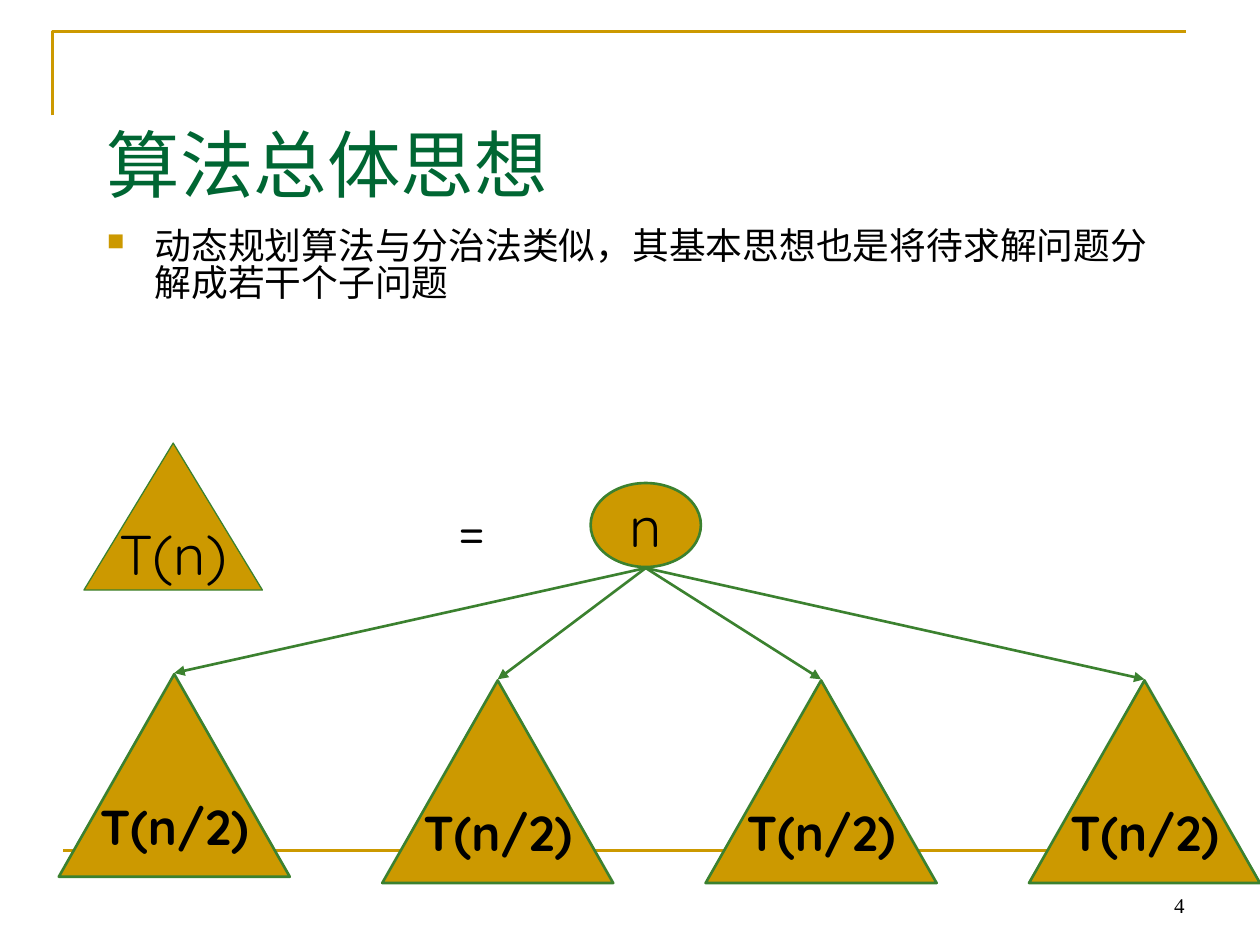
from typing import Any, NamedTuple

from lxml.etree import SubElement
from pptx import Presentation
from pptx.dml.color import RGBColor
from pptx.enum.shapes import MSO_CONNECTOR as Connector, MSO_SHAPE as Preset
from pptx.enum.text import MSO_ANCHOR as Anchor, PP_ALIGN as Align
from pptx.oxml.ns import qn
from pptx.util import Emu, Inches, Pt

COLUMNS, ROWS = 120, 90
GOLD, GREEN, TITLE_GREEN, BLACK = "CC9900", "3B812F", "006633", "000000"
CJK, ROUND, SERIF = "Noto Sans CJK SC", "Quicksand", "Times New Roman"


class Box(NamedTuple):
    left: float
    top: float
    width: float
    height: float


class Label(NamedTuple):
    words: str
    size: float
    font: str = ROUND
    color: str = BLACK
    bold: bool = False
    align: Any = Align.CENTER
    anchor: Any = Anchor.MIDDLE
    wrap: bool = False


class Node(NamedTuple):
    preset: Any
    box: Box
    label: Label
    weight: float = 1.5


deck = Presentation()
deck.slide_width, deck.slide_height = Inches(10), Inches(7.5)
slide = deck.slides.add_slide(deck.slide_layouts[6])
shapes = slide.shapes


def rgb(code: str) -> RGBColor:
    return RGBColor.from_string(code)


def across(column: float) -> Emu:
    return Emu(round(deck.slide_width * column / COLUMNS))


def down(row: float) -> Emu:
    return Emu(round(deck.slide_height * row / ROWS))


def place(box: Box) -> tuple:
    return across(box.left), down(box.top), across(box.width), down(box.height)


def assign(target: Any, values: dict[str, Any]) -> None:
    for name, value in values.items():
        setattr(target, name, value)


def outline(line: Any, color: str, weight: float) -> None:
    line.color.rgb = rgb(color)
    line.width = Pt(weight)


def write(shape: Any, label: Label) -> Any:
    frame = shape.text_frame
    assign(frame, {"word_wrap": label.wrap, "vertical_anchor": label.anchor})
    paragraph = frame.paragraphs[0]
    paragraph.alignment = label.align
    run = paragraph.add_run()
    run.text = label.words
    assign(run.font, {"size": Pt(label.size), "name": label.font, "bold": label.bold})
    run.font.color.rgb = rgb(label.color)
    SubElement(run.font._element, qn("a:ea"), typeface=CJK)
    return paragraph


def add_text(box: Box, label: Label) -> Any:
    return write(shapes.add_textbox(*place(box)), label)


def add_node(node: Node) -> None:
    shape = shapes.add_shape(node.preset, *place(node.box))
    shape.shadow.inherit = False
    shape.fill.solid()
    shape.fill.fore_color.rgb = rgb(GOLD)
    outline(shape.line, GREEN, node.weight)
    write(shape, node.label)


def add_line(start: tuple, end: tuple, color: str, arrow: bool = False) -> None:
    line = shapes.add_connector(Connector.STRAIGHT, across(start[0]), down(start[1]),
                                across(end[0]), down(end[1]))
    outline(line.line, color, 1.5)
    if arrow:
        SubElement(line.line._get_or_add_ln(), qn("a:tailEnd"), type="triangle")
    SubElement(line._element.spPr, qn("a:effectLst"))


def add_bullet(paragraph: Any, mark: str, color: str, percent: int, indent: float) -> None:
    props = paragraph._p.get_or_add_pPr()
    props.set("marL", str(Inches(indent)))
    props.set("indent", str(-Inches(indent)))
    SubElement(SubElement(props, qn("a:buClr")), qn("a:srgbClr"), val=color)
    SubElement(props, qn("a:buSzPct"), val=str(percent * 1000))
    SubElement(props, qn("a:buChar"), char=mark)


def add_corner() -> None:
    builder = shapes.build_freeform(across(5), down(11))
    builder.add_line_segments([(across(5), down(3)), (across(113), down(3))], close=False)
    corner = builder.convert_to_shape()
    corner.shadow.inherit = False
    corner.fill.background()
    outline(corner.line, GOLD, 1.5)


def build() -> None:
    """Draw the recursion tree of a divided problem and save the slide."""
    add_corner()
    add_line((6, 81), (114, 81), GOLD)
    add_text(Box(86, 82, 28, 6),
             Label("4", 12, SERIF, align=Align.RIGHT, anchor=Anchor.BOTTOM, wrap=True))
    idea = add_text(Box(9, 21.36, 102, 54),
                    Label("动态规划算法与分治法类似，其基本思想也是将待求解问题分解成若干个子问题",
                          21, CJK, align=Align.LEFT, anchor=Anchor.TOP, wrap=True))
    idea.line_spacing = 0.83
    add_bullet(idea, "■", GOLD, 65, 0.38)
    add_text(Box(9, 8, 102, 15),
             Label("算法总体思想", 42, SERIF, TITLE_GREEN, align=Align.LEFT, wrap=True))

    add_node(Node(Preset.OVAL, Box(56.25, 46, 10.5, 8), Label("n", 32)))
    subproblems = [Box(5.6 + 30.8 * i, 64.2 if i == 0 else 64.8, 22, 19.3) for i in range(4)]
    for box in subproblems:
        add_line((61.5, 54.1), (box.left + box.width / 2, box.top - 0.1), GREEN, arrow=True)
    for box in subproblems:
        add_node(Node(Preset.ISOSCELES_TRIANGLE, box, Label("T(n/2)", 28, bold=True)))
    add_node(Node(Preset.ISOSCELES_TRIANGLE, Box(8, 42.2, 17, 14), Label("T(n)", 32), 0.75))
    add_text(Box(38, 46.5, 14, 7.5), Label("=", 32, anchor=Anchor.TOP, wrap=True))


build()
deck.save("out.pptx")
